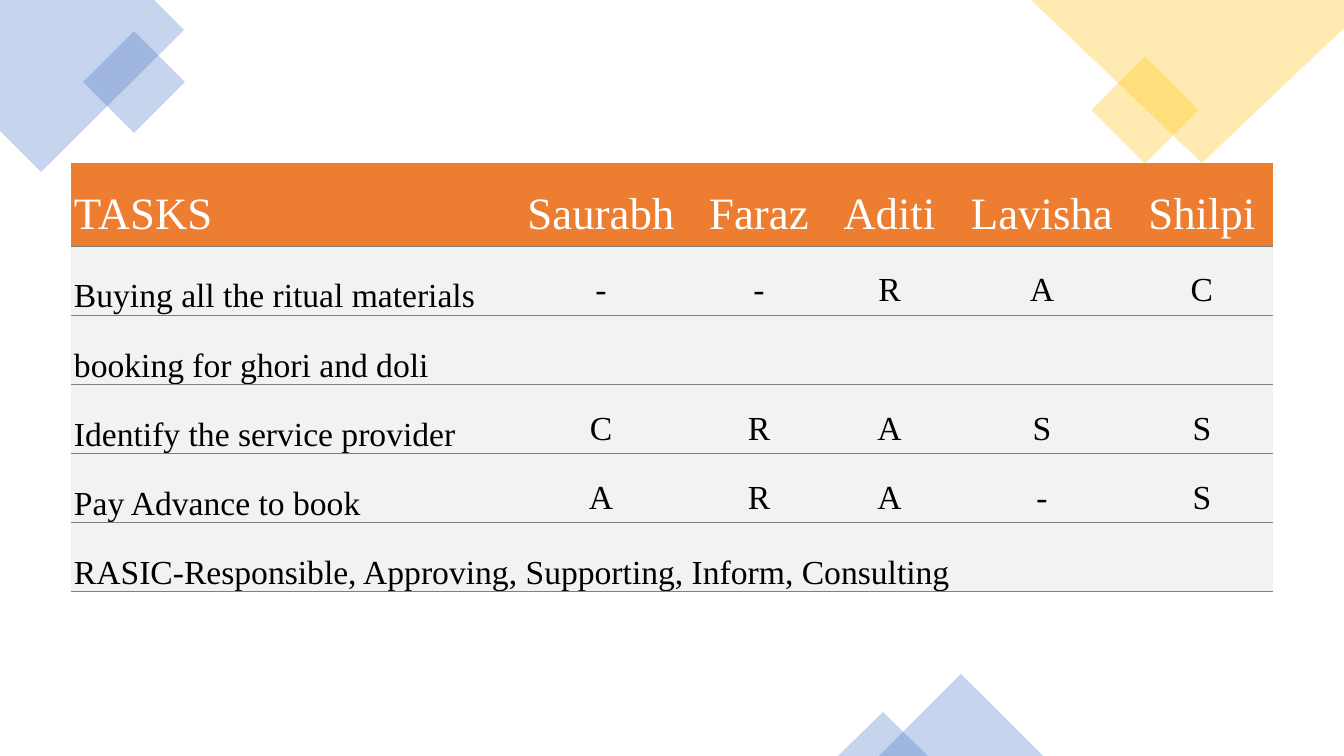
from dataclasses import dataclass

from lxml.etree import SubElement
from pptx import Presentation
from pptx.dml.color import RGBColor
from pptx.enum.shapes import MSO_SHAPE as Preset
from pptx.enum.text import MSO_ANCHOR as Anchor, PP_ALIGN as Align
from pptx.oxml.ns import qn
from pptx.util import Emu, Pt

EMU_PER_PX = 914400 / 100.8
FONT = "Times New Roman"
BLUE, YELLOW, ORANGE = "4472C4", "FFC000", "ED7D31"
WHITE, BLACK, PALE_GRAY, RULE_GRAY = "FFFFFF", "000000", "F2F2F2", "808080"


@dataclass(frozen=True)
class Ornament:
    preset: Preset
    left: int
    top: int
    width: int
    height: int
    color: str
    rotation: int = 0


@dataclass(frozen=True)
class Corner:
    points: tuple[tuple[int, int], ...]
    color: str


ORNAMENTS = (
    Corner(((154, 0), (0, 0), (0, 131), (41, 172), (184, 30)), BLUE),
    Ornament(Preset.RECTANGLE, 98, 46, 72, 72, BLUE, 315),
    Ornament(Preset.RECTANGLE, 1107, 72, 76, 76, YELLOW, 315),
    Corner(((1344, 0), (1031, 0), (1202, 163), (1344, 28)), YELLOW),
    Ornament(Preset.ISOSCELES_TRIANGLE, 879, 674, 164, 82, BLUE),
    Ornament(Preset.ISOSCELES_TRIANGLE, 838, 712, 90, 44, BLUE),
)

HEADER = ("TASKS", "Saurabh", "Faraz", "Aditi", "Lavisha", "Shilpi")
TASKS = (
    ("Buying all the ritual materials", "-", "-", "R", "A", "C"),
    ("booking for ghori and doli", "", "", "", "", ""),
    ("Identify the service provider", "C", "R", "A", "S", "S"),
    ("Pay Advance to book", "A", "R", "A", "-", "S"),
    ("RASIC-Responsible, Approving, Supporting, Inform, Consulting", "", "", "", "", ""),
)
COLUMN_WIDTHS = (439, 182, 134, 127, 178, 142)
HEADER_HEIGHT, TASKS_HEIGHT = 83, 346


def px(length: int) -> Emu:
    return Emu(round(length * EMU_PER_PX))


def rgb(color: str) -> RGBColor:
    return RGBColor.from_string(color)


def draw_ornament(shapes, ornament: Ornament | Corner) -> None:
    if isinstance(ornament, Corner):
        start, *others = [(px(x), px(y)) for x, y in ornament.points]
        outline = shapes.build_freeform(*start)
        outline.add_line_segments(others, close=True)
        shape = outline.convert_to_shape()
    else:
        shape = shapes.add_shape(ornament.preset, px(ornament.left), px(ornament.top),
                                 px(ornament.width), px(ornament.height))
        shape.rotation = ornament.rotation
    shape.shadow.inherit = False
    shape.line.fill.background()
    shape.fill.solid()
    shape.fill.fore_color.rgb = rgb(ornament.color)
    # 30 % opacity
    tint = shape.fill._xPr.find(qn("a:solidFill"))[0]
    SubElement(tint, qn("a:alpha"), val="30000")


def write_text(cell, text: str, *, size: int, color: str, align: Align, anchor: Anchor) -> None:
    cell.margin_left = cell.margin_right = px(3)
    cell.margin_top, cell.margin_bottom = px(20), 0
    cell.vertical_anchor = anchor
    paragraph = cell.text_frame.paragraphs[0]
    paragraph.alignment = align
    if text:
        run = paragraph.add_run()
        run.text = text
        run.font.name, run.font.size = FONT, Pt(size)
        run.font.color.rgb = rgb(color)


def set_borders(cell, ruled_sides: str) -> None:
    properties = cell._tc.get_or_add_tcPr()
    for side in "LRTB":
        line = SubElement(properties, qn(f"a:ln{side}"), w=str(Pt(0.75)))
        if side in ruled_sides:
            paint = SubElement(line, qn("a:solidFill"))
            SubElement(paint, qn("a:srgbClr"), val=RULE_GRAY)
        else:
            SubElement(line, qn("a:noFill"))


def draw_task_table(shapes) -> None:
    rows = (HEADER, *TASKS)
    table = shapes.add_table(len(rows), len(HEADER), px(71), px(163),
                             px(sum(COLUMN_WIDTHS)), px(HEADER_HEIGHT + TASKS_HEIGHT)).table
    table.first_row = table.horz_banding = False
    for column, width in zip(table.columns, COLUMN_WIDTHS):
        column.width = px(width)
    for r, texts in enumerate(rows):
        is_header = r == 0
        table.rows[r].height = px(HEADER_HEIGHT) if is_header else Emu(px(TASKS_HEIGHT) // len(TASKS))
        for c, text in enumerate(texts):
            cell = table.cell(r, c)
            set_borders(cell, "B" if is_header else "TB")
            cell.fill.solid()
            cell.fill.fore_color.rgb = rgb(ORANGE if is_header else PALE_GRAY)
            write_text(cell, text,
                       size=32 if is_header else 24,
                       color=WHITE if is_header else BLACK,
                       align=Align.LEFT if c == 0 else Align.CENTER,
                       anchor=Anchor.BOTTOM if c == 0 and not is_header else Anchor.MIDDLE)
    # The legend spans the whole last row
    last = len(rows) - 1
    table.cell(last, 0).merge(table.cell(last, len(HEADER) - 1))


def main() -> None:
    deck = Presentation()
    deck.slide_width, deck.slide_height = px(1344), px(756)
    slide = deck.slides.add_slide(deck.slide_layouts[6])

    # Corner decoration
    for ornament in ORNAMENTS:
        draw_ornament(slide.shapes, ornament)

    # Responsibility matrix
    draw_task_table(slide.shapes)

    deck.save("out.pptx")


if __name__ == "__main__":
    main()
